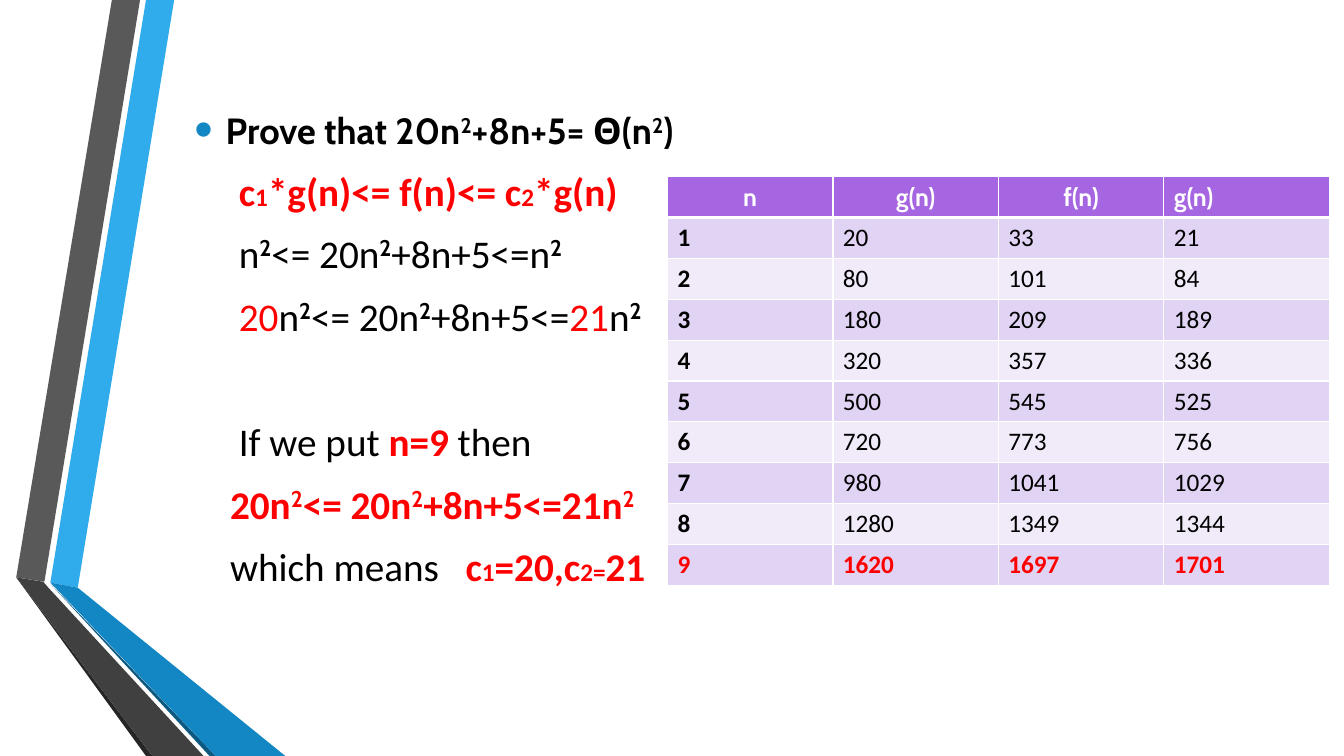
import pptx
import pptx.dml.color
import pptx.enum.text
import pptx.oxml
import pptx.oxml.ns
import pptx.util

Cm = pptx.util.Cm
Pt = pptx.util.Pt
SPACE = pptx.oxml.ns.nsdecls("a")

BANDS = [
    ("30ACEC", [(1.27, 14.68), (1.96, 14.81), (4.39, 0), (3.68, 0)]),
    ("595959", [(3.53, 0), (2.82, 0), (0.41, 14.55), (1.12, 14.66)]),
    ("262626", [(0.41, 14.55), (3.68, 19.05), (3.84, 19.05)]),
    ("0C5A82", [(1.27, 14.71), (5.28, 19.05), (5.44, 19.05)]),
    ("1287C3", [(1.27, 14.68), (5.44, 19.05), (7.19, 19.05), (1.96, 14.81)]),
    ("404040", [(5.13, 19.05), (1.22, 14.81), (1.09, 14.66), (0.41, 14.55),
                (3.84, 19.05)]),
]

# Marks: r red, b bold, ^ raised, s small, w wide gap
CLAIM = [("Prove that 20n", "b"), ("2", "^"), ("+8n+5= Θ(n", "b"), ("2", "^"), (")", "b")]
PROOF = [
    (1.12, 5, [("c", "rb"), ("1", "rbs"), ("*g(n)<= f(n)<= c", "rb"), ("2", "rbs"),
               ("*g(n)", "rb")]),
    (1.12, 5, [("n", ""), ("2", "^"), ("<= 20n", ""), ("2", "^"), ("+8n+5<=n", ""),
               ("2", "^")]),
    (1.12, 5, [("20", "r"), ("n", ""), ("2", "^"), ("<= 20n", ""), ("2", "^"),
               ("+8n+5<=", ""), ("21", "r"), ("n", ""), ("2", "^")]),
    (1.12, 50, [("If we put ", ""), ("n=9 ", "rb"), ("then", "")]),
    (0.9, 5, [("20n", "rb"), ("2", "r^"), ("<= 20n", "rb"), ("2", "r^"),
              ("+8n+5<=21n", "rb"), ("2", "r^")]),
    (0.9, 5, [("which means", ""), (" ", "w"), ("c", "rb"), ("1", "rbs"),
              ("=20,c", "rb"), ("2=", "rbs"), ("21", "rb")]),
]

HEADS = ["n", "g(n)", "f(n)", "g(n)"]
ROWS = [
    (1, 20, 33, 21), (2, 80, 101, 84), (3, 180, 209, 189),
    (4, 320, 357, 336), (5, 500, 545, 525), (6, 720, 773, 756),
    (7, 980, 1041, 1029), (8, 1280, 1349, 1344), (9, 1620, 1697, 1701),
]


def shade(text):
    """Turn a hex string into a colour."""
    return pptx.dml.color.RGBColor.from_string(text)


def style(run, face, size, tint, bold):
    """Set the font of a run."""
    run.font.name = face
    run.font.size = Pt(size)
    run.font.color.rgb = shade(tint)
    run.font.bold = bold


def draw_bands(slide, left, top):
    """Draw the folded ribbons from the given corner."""
    for tint, spots in BANDS:
        points = [(Cm(left + x), Cm(top + y)) for x, y in spots]
        pen = slide.shapes.build_freeform(*points[0], scale=1.0)
        pen.add_line_segments(points[1:], close=True)
        band = pen.convert_to_shape()
        band.fill.solid()
        band.fill.fore_color.rgb = shade(tint)
        band.line.fill.background()
        band.shadow.inherit = False


def write_line(para, parts, face, size, indent, gap):
    """Fill one paragraph with marked runs."""
    para.space_before = Pt(gap)
    para.space_after = Pt(6)
    para._p.get_or_add_pPr().set("marL", str(Cm(indent)))
    for text, marks in parts:
        run = para.add_run()
        run.text = text
        high = "^" in marks
        style(run, "Cabin" if high else face, 18 if "s" in marks else size,
              "FF0000" if "r" in marks else "000000", high or "b" in marks)
        if high:
            run.font._element.set("baseline", "30000")
        if "w" in marks:
            run.font._element.set("spc", "1270")


def add_bullet(para, hang):
    """Give a paragraph a large blue dot."""
    props = para._p.get_or_add_pPr()
    props.set("indent", str(-Cm(hang)))
    for tag in ('<a:buClr {}><a:srgbClr val="1287C3"/></a:buClr>',
                '<a:buSzPct {} val="145000"/>',
                '<a:buFont {} typeface="Arial"/>',
                '<a:buChar {} char="•"/>'):
        props.append(pptx.oxml.parse_xml(tag.format(SPACE)))


def draw_proof(slide, left, top, width, height):
    """Write the claim and its proof in the given box."""
    box = slide.shapes.add_textbox(Cm(left), Cm(top), Cm(width), Cm(height))
    frame = box.text_frame
    frame.word_wrap = True
    frame.vertical_anchor = pptx.enum.text.MSO_ANCHOR.MIDDLE
    claim = frame.paragraphs[0]
    write_line(claim, CLAIM, "Cabin", 26, 0.79, 5)
    add_bullet(claim, 0.79)
    for indent, gap, parts in PROOF:
        write_line(frame.add_paragraph(), parts, "Calibri", 28, indent, gap)


def add_edges(cell, above, below):
    """Draw white borders round a cell."""
    props = cell._tc.get_or_add_tcPr()
    for spot, (side, weight) in enumerate(zip("LRTB", (1, 1, above, below))):
        props.insert(spot, pptx.oxml.parse_xml(
            f'<a:ln{side} {SPACE} w="{Pt(weight)}"><a:solidFill>'
            f'<a:srgbClr val="FFFFFF"/></a:solidFill></a:ln{side}>'))


def draw_table(slide, left, top, width, height):
    """Place the table of values in the given box."""
    count = len(ROWS) + 1
    grid = slide.shapes.add_table(count, len(HEADS), Cm(left), Cm(top),
                                  Cm(width), Cm(height)).table
    for row in grid.rows:
        row.height = Cm(height / count)
    for i, values in enumerate([HEADS, *ROWS]):
        head, last = i == 0, i == count - 1
        fill = "A666E1" if head else ("F1EAF9", "E1D3F4")[i % 2]
        tint = "FFFFFF" if head else "FF0000" if last else "000000"
        for j, value in enumerate(values):
            cell = grid.cell(i, j)
            cell.fill.solid()
            cell.fill.fore_color.rgb = shade(fill)
            add_edges(cell, 3 if i == 1 else 1, 3 if head else 1)
            para = cell.text_frame.paragraphs[0]
            para.text = str(value)
            if head and j < len(HEADS) - 1:
                para.alignment = pptx.enum.text.PP_ALIGN.CENTER
            style(para.runs[0], "Cabin" if head else "Calibri", 18, tint,
                  head or last or j == 0)


def main():
    """Build the slide and save it."""
    deck = pptx.Presentation()
    deck.slide_width = Cm(33.87)
    deck.slide_height = Cm(19.05)
    slide = deck.slides.add_slide(deck.slide_layouts[6])
    draw_bands(slide, 0, 0)
    draw_proof(slide, 4.65, 1.52, 27.3, 14.53)
    draw_table(slide, 16.82, 4.45, 16.68, 10.3)
    deck.save("out.pptx")


if __name__ == "__main__":
    main()
